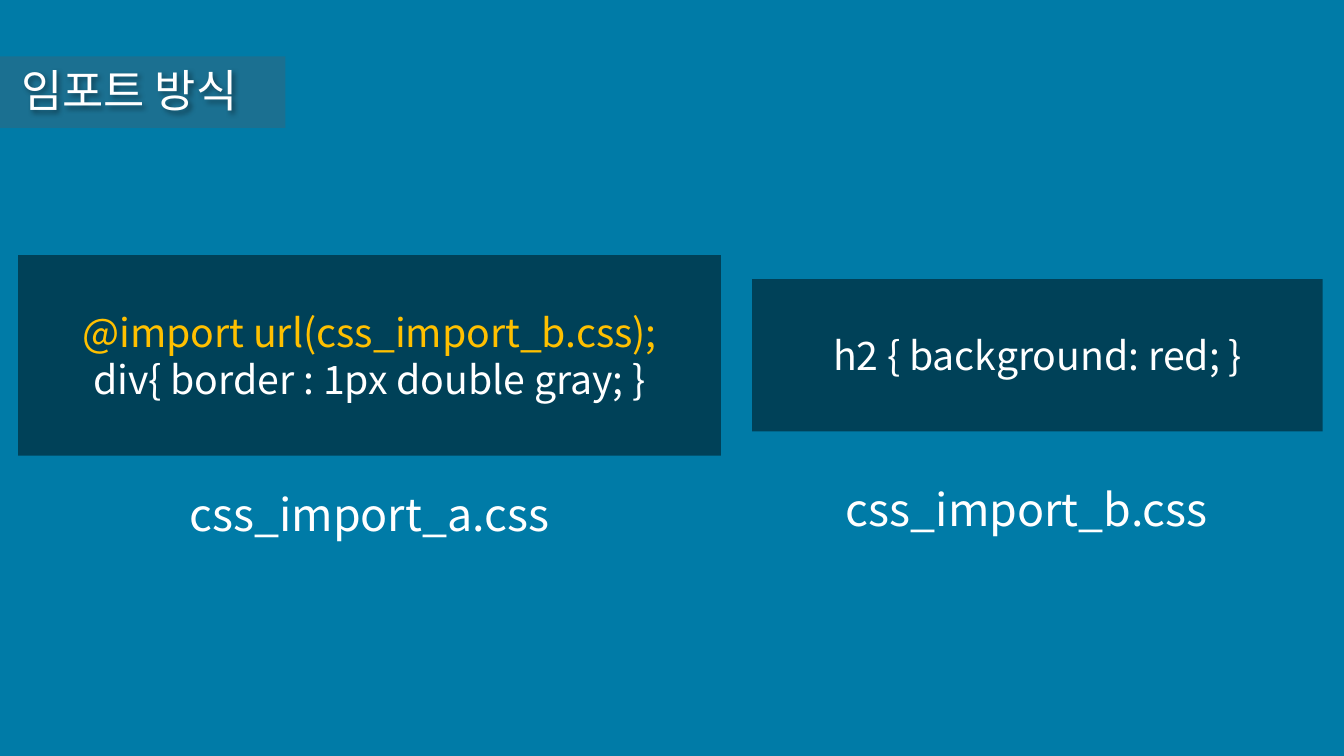
from dataclasses import dataclass

from lxml.etree import SubElement
from pptx import Presentation
from pptx.dml.color import RGBColor
from pptx.enum.shapes import MSO_SHAPE
from pptx.enum.text import MSO_ANCHOR, MSO_AUTO_SIZE, PP_ALIGN
from pptx.oxml.ns import qn
from pptx.util import Inches, Pt


@dataclass(frozen=True)
class Theme:
    font: str = "Noto Sans CJK KR"
    background: str = "007BA7"
    bar: str = "615758"
    card: str = "000000"
    text: str = "FFFFFF"
    accent: str = "FFC000"
    bar_opacity: int = 28
    card_opacity: int = 47
    heading_size: int = 32
    code_size: int = 28
    line_ratio: float = 1.2


THEME = Theme()
TITLE = "임포트 방식"
TITLE_AREA = (0.11, 0.57, 5.64, 0.64)
BAR_AREA = (0, 0.56, 2.83, 0.71)

# Each card: area, code lines with colours, caption, caption area
CARDS = [
    ((0.18, 2.53, 6.97, 1.99),
     [("@import url(css_import_b.css);", THEME.accent),
      ("div{ border : 1px double gray; }", THEME.text)],
     "css_import_a.css", (1.48, 4.78, 4.37, 0.64)),
    ((7.46, 2.77, 5.66, 1.51),
     [("h2 { background: red; }", THEME.text)],
     "css_import_b.css", (7.99, 4.73, 4.39, 0.64)),
]


def inches(area):
    return [Inches(length) for length in area]


def add_panel(page, area, color, opacity):
    """Add a borderless rectangle whose opacity is given in percent."""
    panel = page.shapes.add_shape(MSO_SHAPE.RECTANGLE, *inches(area))
    panel.shadow.inherit = False
    panel.line.fill.background()
    panel.fill.solid()
    panel.fill.fore_color.rgb = RGBColor.from_string(color)
    fill_color = panel.element.spPr.find(".//" + qn("a:srgbClr"))
    SubElement(fill_color, qn("a:alpha"), val=str(opacity * 1000))
    return panel


def write_lines(box, lines, size, alignment):
    """Fill a shape with (text, colour) lines, one paragraph each."""
    frame = box.text_frame
    frame.word_wrap = True
    frame.auto_size = MSO_AUTO_SIZE.NONE
    frame.vertical_anchor = MSO_ANCHOR.MIDDLE
    frame.text = "\n".join(text for text, _ in lines)
    for para, (_, color) in zip(frame.paragraphs, lines):
        para.alignment = alignment
        para.line_spacing = Pt(size * THEME.line_ratio)
        para.space_before = Pt(0)
        for span in para.runs:
            span.font.size = Pt(size)
            span.font.name = THEME.font
            span.font.color.rgb = RGBColor.from_string(color)
            SubElement(span.font._element, qn("a:ea"), typeface=THEME.font)


def add_soft_shadow(box):
    effects = SubElement(box.element.spPr, qn("a:effectLst"))
    shadow = SubElement(effects, qn("a:outerShdw"), blurRad=str(Pt(4)),
                        dist=str(Pt(2)), dir="2700000")
    color = SubElement(shadow, qn("a:srgbClr"), val=THEME.card)
    SubElement(color, qn("a:alpha"), val="40000")


def add_title(page):
    title = page.shapes.title
    title.left, title.top, title.width, title.height = inches(TITLE_AREA)
    write_lines(title, [(TITLE, THEME.text)], THEME.heading_size, PP_ALIGN.LEFT)
    add_soft_shadow(title)
    bar = add_panel(page, BAR_AREA, THEME.bar, THEME.bar_opacity)
    title.element.addprevious(bar.element)


def add_card(page, area, code, caption, caption_area):
    card = add_panel(page, area, THEME.card, THEME.card_opacity)
    write_lines(card, code, THEME.code_size, PP_ALIGN.CENTER)
    label = page.shapes.add_textbox(*inches(caption_area))
    write_lines(label, [(caption, THEME.text)], THEME.heading_size, PP_ALIGN.CENTER)


def main():
    deck = Presentation()
    deck.slide_width, deck.slide_height = Inches(13.33), Inches(7.5)
    page = deck.slides.add_slide(deck.slide_layouts.get_by_name("Title Only"))
    page.background.fill.solid()
    page.background.fill.fore_color.rgb = RGBColor.from_string(THEME.background)
    add_title(page)
    for card in CARDS:
        add_card(page, *card)
    deck.save("out.pptx")


if __name__ == "__main__":
    main()
